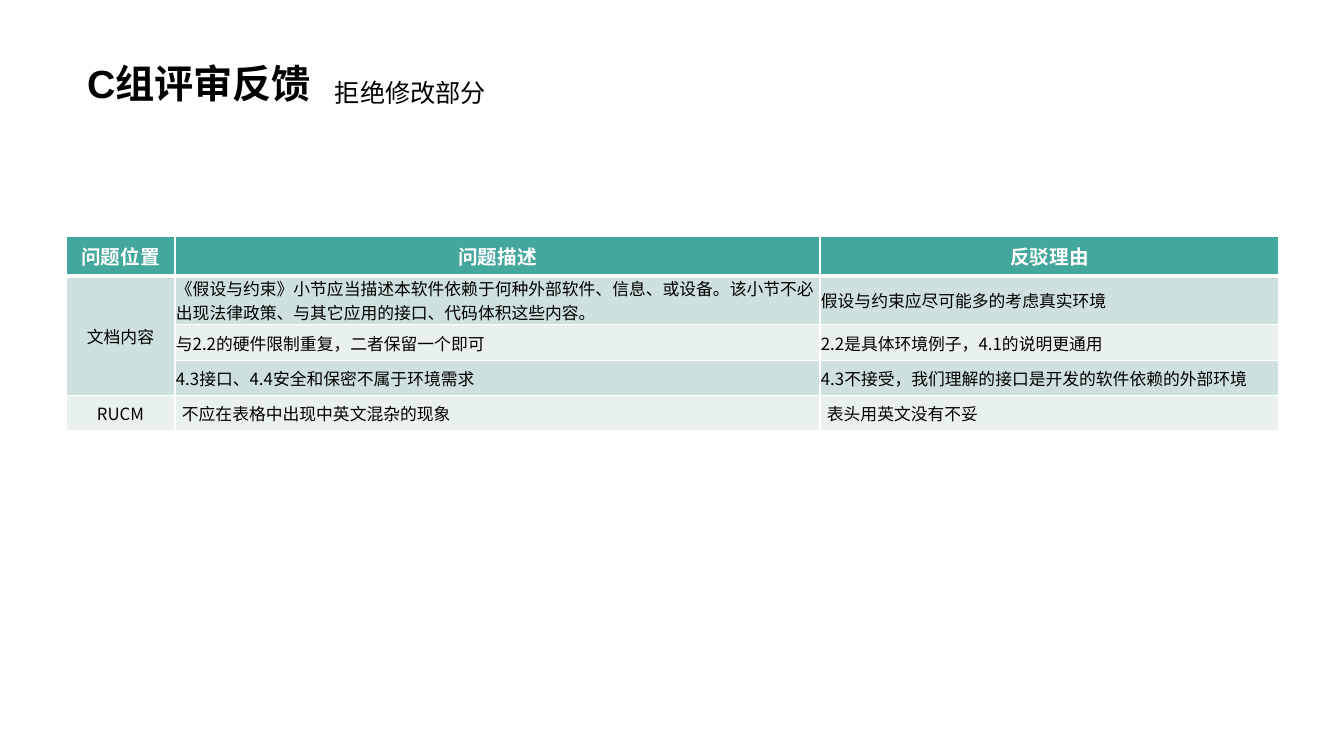
import pptx
import pptx.util
import pptx.dml.color
import pptx.enum.text
import pptx.oxml
import pptx.oxml.ns

PX = 914400 / 100.8
RGB = pptx.dml.color.RGBColor
WHITE = RGB(0xFF, 0xFF, 0xFF)
BLACK = RGB(0, 0, 0)
TEAL = RGB(0x44, 0xA7, 0x9D)
BAND_DARK = RGB(0xCF, 0xE1, 0xDF)
BAND_LIGHT = RGB(0xE9, 0xF1, 0xEF)
CJK = "Noto Sans CJK SC"
ALIGN = pptx.enum.text.PP_ALIGN
ANCHOR = pptx.enum.text.MSO_ANCHOR
AUTO = pptx.enum.text.MSO_AUTO_SIZE


def px(n):
    return pptx.util.Emu(round(n * PX))


def write(tf, text, align, color, **font):
    p = tf.paragraphs[0]
    p.alignment = align
    r = p.add_run()
    r.text = text
    r.font.color.rgb = color
    for name, value in font.items():
        setattr(r.font, name, value)
    ea = pptx.oxml.ns.qn("a:ea")
    r.font._element.get_or_add_latin().addnext(r.font._element.makeelement(ea, {"typeface": CJK}))


prs = pptx.Presentation()
prs.slide_width, prs.slide_height = px(1344), px(756)
s = prs.slides.add_slide(prs.slide_layouts[5])

# Title
title = s.shapes.title
title.left, title.top, title.width, title.height = px(77), px(0), px(1190), px(112)
tf = title.text_frame
for name, value in {"auto_size": AUTO.NONE, "vertical_anchor": ANCHOR.BOTTOM}.items():
    setattr(tf, name, value)
write(tf, "C组评审反馈", ALIGN.LEFT, BLACK, name="Arial", size=pptx.util.Pt(28), bold=True)
tf.paragraphs[0].line_spacing = 0.9

# Review table
ROWS = [
    ("问题位置", "问题描述", "反驳理由"),
    ("文档内容",
     "《假设与约束》小节应当描述本软件依赖于何种外部软件、信息、或设备。该小节不必出现法律政策、与其它应用的接口、代码体积这些内容。",
     "假设与约束应尽可能多的考虑真实环境"),
    ("", "与2.2的硬件限制重复，二者保留一个即可", "2.2是具体环境例子，4.1的说明更通用"),
    ("", "4.3接口、4.4安全和保密不属于环境需求", "4.3不接受，我们理解的接口是开发的软件依赖的外部环境"),
    ("RUCM", "不应在表格中出现中英文混杂的现象", "表头用英文没有不妥"),
]
COL_WIDTHS = [109, 645, 459]
ROW_HEIGHTS = [40, 35, 36, 35, 35]
table = s.shapes.add_table(len(ROWS), len(COL_WIDTHS), px(66), px(236),
                           px(sum(COL_WIDTHS)), px(sum(ROW_HEIGHTS))).table
for col, width in zip(table.columns, COL_WIDTHS):
    col.width = px(width)
for row, height in zip(table.rows, ROW_HEIGHTS):
    row.height = px(height)
table.cell(1, 0).merge(table.cell(3, 0))

for i, texts in enumerate(ROWS):
    header = i == 0
    for j, text in enumerate(texts):
        cell = table.cell(i, j)
        inset = px(7 if i == 4 and j > 0 else 1)
        for name, value in {"margin_left": inset, "margin_right": inset, "margin_top": 0,
                            "margin_bottom": 0, "vertical_anchor": ANCHOR.MIDDLE}.items():
            setattr(cell, name, value)
        cell.fill.solid()
        cell.fill.fore_color.rgb = TEAL if header else BAND_DARK if i % 2 else BAND_LIGHT
        if text:
            write(cell.text_frame, text, ALIGN.CENTER if header or j == 0 else ALIGN.LEFT,
                  WHITE if header else BLACK, name=CJK,
                  size=pptx.util.Pt(14 if header else 12), bold=header)

        # Borders: thicker under the header
        tcPr = cell._tc.get_or_add_tcPr()
        for k, side in enumerate("LRTB"):
            thick = (i, side) in ((0, "B"), (1, "T"))
            tcPr.insert(k, pptx.oxml.parse_xml(
                f'<a:ln{side} {pptx.oxml.ns.nsdecls("a")} w="{38100 if thick else 12700}">'
                f'<a:solidFill><a:srgbClr val="{WHITE}"/></a:solidFill></a:ln{side}>'))

# Subtitle beside the title
tf = s.shapes.add_textbox(px(325), px(72), px(173), px(40)).text_frame
for name, value in {"word_wrap": False, "auto_size": AUTO.SHAPE_TO_FIT_TEXT}.items():
    setattr(tf, name, value)
write(tf, "拒绝修改部分", ALIGN.LEFT, BLACK, name="Arial", size=pptx.util.Pt(18))

prs.save("out.pptx")
